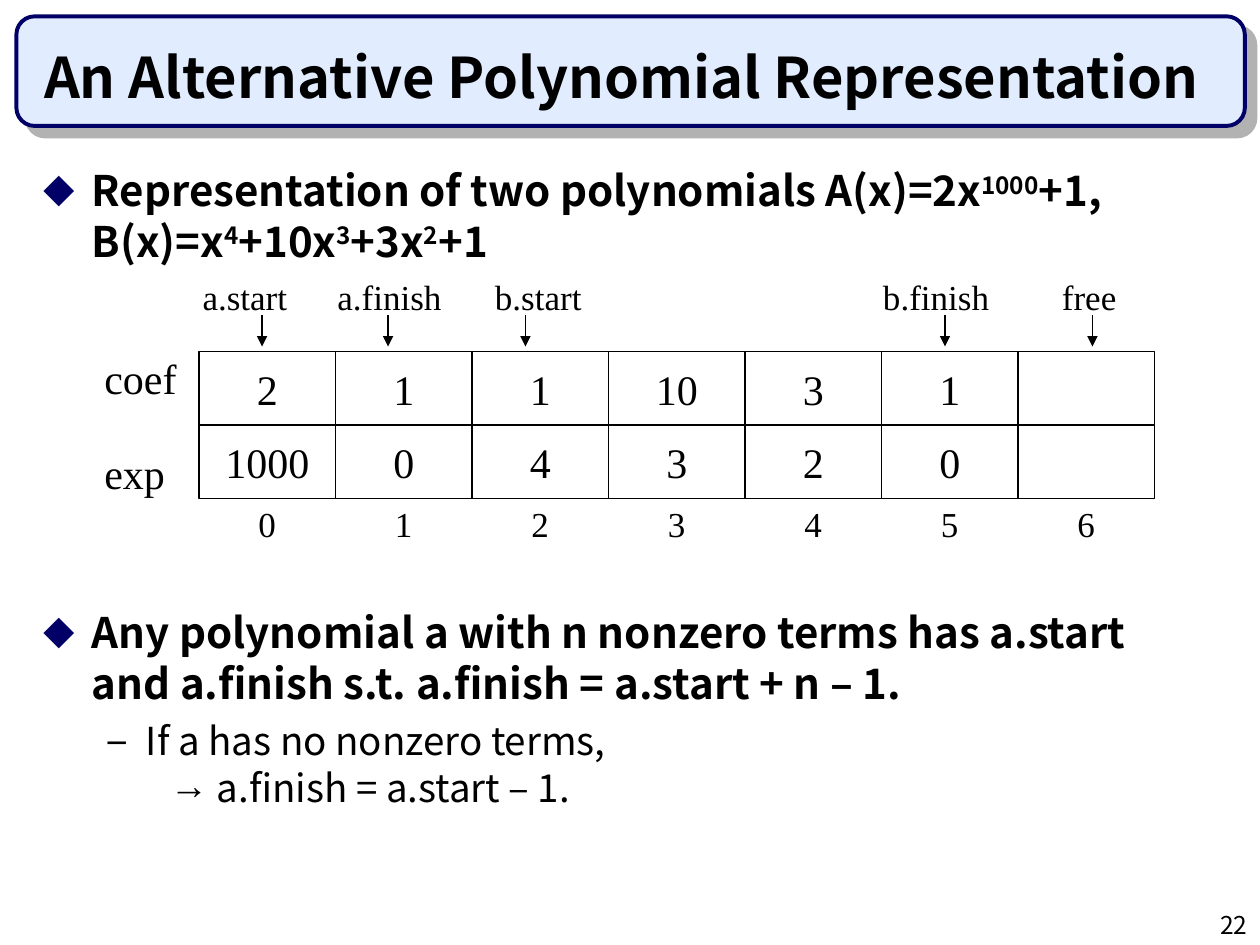
import pptx
import pptx.util
import pptx.dml.color
import pptx.enum.shapes
import pptx.enum.text
import pptx.oxml
import pptx.oxml.ns

Inches, Pt = pptx.util.Inches, pptx.util.Pt
SHAPE = pptx.enum.shapes.MSO_SHAPE
ALIGN = pptx.enum.text.PP_ALIGN
ANCHOR = pptx.enum.text.MSO_ANCHOR

COLORS = {"ink": "000000", "navy": "000066", "sky": "E1ECFF",
          "paper": "FFFFFF", "shade": "B2B2B2"}
SANS, SERIF = "Noto Sans CJK KR", "Times New Roman"

# Array grid, in inches
LEFT, TOP, COL, ROW = 1.58, 2.79, 13 / 12, 7 / 12
TERMS = [["2", "1", "1", "10", "3", "1", ""],
         ["1000", "0", "4", "3", "2", "0", ""]]
# Name, label left, label width, arrow position
MARKS = [("a.start", 1.51, 0.9, 2.08), ("a.finish", 2.58, 1.06, 3.08),
         ("b.start", 3.83, 0.92, 4.17), ("b.finish", 6.91, 1.06, 7.5),
         ("free", 8.33, 0.66, 8.67)]

# Runs alternate between normal text and superscript
POINTS = [
    dict(runs=["Representation of two polynomials A(x)=2x", "1000",
               "+1, B(x)=x", "4", "+10x", "3", "+3x", "2", "+1"],
         size=24, bold=True, mark="◆", left=0.38, hang=0.38, before=6),
    dict(runs=["Any polynomial a with n nonzero terms has a.start "
               "and a.finish s.t. a.finish = a.start + n – 1."],
         size=24, bold=True, mark="◆", left=0.38, hang=0.38, before=195),
    dict(runs=["If a has no nonzero terms,"], level=1,
         size=22, mark="−", left=0.81, hang=0.31, before=5.5),
    dict(runs=[" a.finish = a.start – 1."], level=2, spacing=0.8, face=SERIF,
         size=22, mark="→", left=1.25, hang=0.25, before=5.5),
]


def color(name):
    return pptx.dml.color.RGBColor.from_string(COLORS[name])


def add_xml(parent, tag, inner="", attrs=""):
    ns = pptx.oxml.ns.nsdecls("a")
    parent.append(pptx.oxml.parse_xml(f"<a:{tag} {ns} {attrs}>{inner}</a:{tag}>"))


def style(run, size, font=SERIF, bold=False):
    run.font.size, run.font.name, run.font.bold = Pt(size), font, bold
    run.font.color.rgb = color("ink")


def place(shape, *box):
    shape.left, shape.top, shape.width, shape.height = map(Inches, box)


def write(shape, text, size, font=SERIF, bold=False, align=ALIGN.LEFT):
    shape.text_frame.text = text
    para = shape.text_frame.paragraphs[0]
    para.alignment = align
    for run in para.runs:
        style(run, size, font, bold)


def add_label(slide, text, box, size=20, font=SERIF, align=ALIGN.LEFT):
    label = slide.shapes.add_textbox(*map(Inches, box))
    label.text_frame.word_wrap = False
    write(label, text, size, font, align=align)


def add_panel(slide, kind, box, fill, line, width):
    panel = slide.shapes.add_shape(kind, *map(Inches, box))
    panel.shadow.inherit = False
    panel.fill.solid()
    panel.fill.fore_color.rgb = color(fill)
    panel.line.color.rgb = color(line)
    panel.line.width = Pt(width)
    return panel


def add_title(slide):
    banner = add_panel(slide, SHAPE.ROUNDED_RECTANGLE,
                       (0.13, 0.13, 9.75, 0.87), "sky", "navy", 2.25)
    banner.shadow.inherit = True
    shade = (f'<a:outerShdw dist="{Pt(8.5)}" dir="2700000" algn="ctr" rotWithShape="0">'
             f'<a:srgbClr val="{COLORS["shade"]}"/></a:outerShdw>')
    add_xml(banner._element.spPr, "effectLst", shade)
    title = slide.shapes.title
    place(title, 0.25, 0.25, 9.42, 0.67)
    write(title, "An Alternative Polynomial Representation", 32, SANS, True)
    title.text_frame.vertical_anchor = ANCHOR.BOTTOM
    title.text_frame.auto_size = pptx.enum.text.MSO_AUTO_SIZE.NONE
    slide.shapes._spTree.append(title._element)


def add_point(para, runs, size, mark, left, hang, before,
              bold=False, level=0, spacing=None, face=SANS):
    for i, text in enumerate(runs):
        run = para.add_run()
        run.text = text
        style(run, size, SANS, bold)
        if i % 2:
            run.font._element.set("baseline", "30000")
    para.level = level
    para.space_before = Pt(before)
    if spacing:
        para.line_spacing = spacing
    props = para._p.get_or_add_pPr()
    props.set("marL", str(Inches(left)))
    props.set("indent", str(-Inches(hang)))
    tint = COLORS["ink" if level else "navy"]
    add_xml(props, "buClr", f'<a:srgbClr val="{tint}"/>')
    add_xml(props, "buSzPct", attrs=f'val="{100000 if level else 75000}"')
    add_xml(props, "buFont", attrs=f'typeface="{face}"')
    add_xml(props, "buChar", attrs=f'char="{mark}"')


def add_body(slide):
    frame = slide.shapes.add_textbox(*map(Inches, (0.25, 1.26, 9.42, 5.83))).text_frame
    frame.word_wrap = True
    for i, point in enumerate(POINTS):
        add_point(frame.add_paragraph() if i else frame.paragraphs[0], **point)


def add_array(slide):
    for r, row in enumerate(TERMS):
        for c, text in enumerate(row):
            cell = add_panel(slide, SHAPE.RECTANGLE,
                             (LEFT + c * COL, TOP + r * ROW, COL, ROW),
                             "paper", "ink", 0.75)
            cell.text_frame.word_wrap = False
            cell.text_frame.vertical_anchor = ANCHOR.MIDDLE
            write(cell, text, 24, align=ALIGN.CENTER)
    add_label(slide, "coef", (0.73, 2.75, 0.8, 0.5), 24)
    add_label(slide, "exp", (0.73, 3.5, 0.71, 0.5), 24)
    for c in range(len(TERMS[0])):
        mid = LEFT + (c + 0.5) * COL
        add_label(slide, str(c), (mid - 0.17, 3.94, 0.34, 0.44))


def add_arrow(slide, x, top, end):
    arrow = slide.shapes.add_connector(pptx.enum.shapes.MSO_CONNECTOR.STRAIGHT,
                                       *map(Inches, (x, top, x, end)))
    arrow.line.color.rgb = color("ink")
    arrow.line.width = Pt(0.75)
    add_xml(arrow.line._get_or_add_ln(), "tailEnd", attrs='type="triangle"')
    add_xml(arrow._element.spPr, "effectLst")


def main():
    deck = pptx.Presentation()
    deck.slide_width, deck.slide_height = Inches(10), Inches(7.5)
    slide = deck.slides.add_slide(deck.slide_layouts.get_by_name("Title Only"))
    add_title(slide)
    add_label(slide, "22", (7.92, 7.17, 2.08, 0.33), 14, SANS, ALIGN.RIGHT)
    add_body(slide)
    add_array(slide)
    for name, left, width, x in MARKS:
        add_label(slide, name, (left, 2.14, width, 0.44))
        add_arrow(slide, x, 2.5, 2.75)
    deck.save("out.pptx")


if __name__ == "__main__":
    main()
